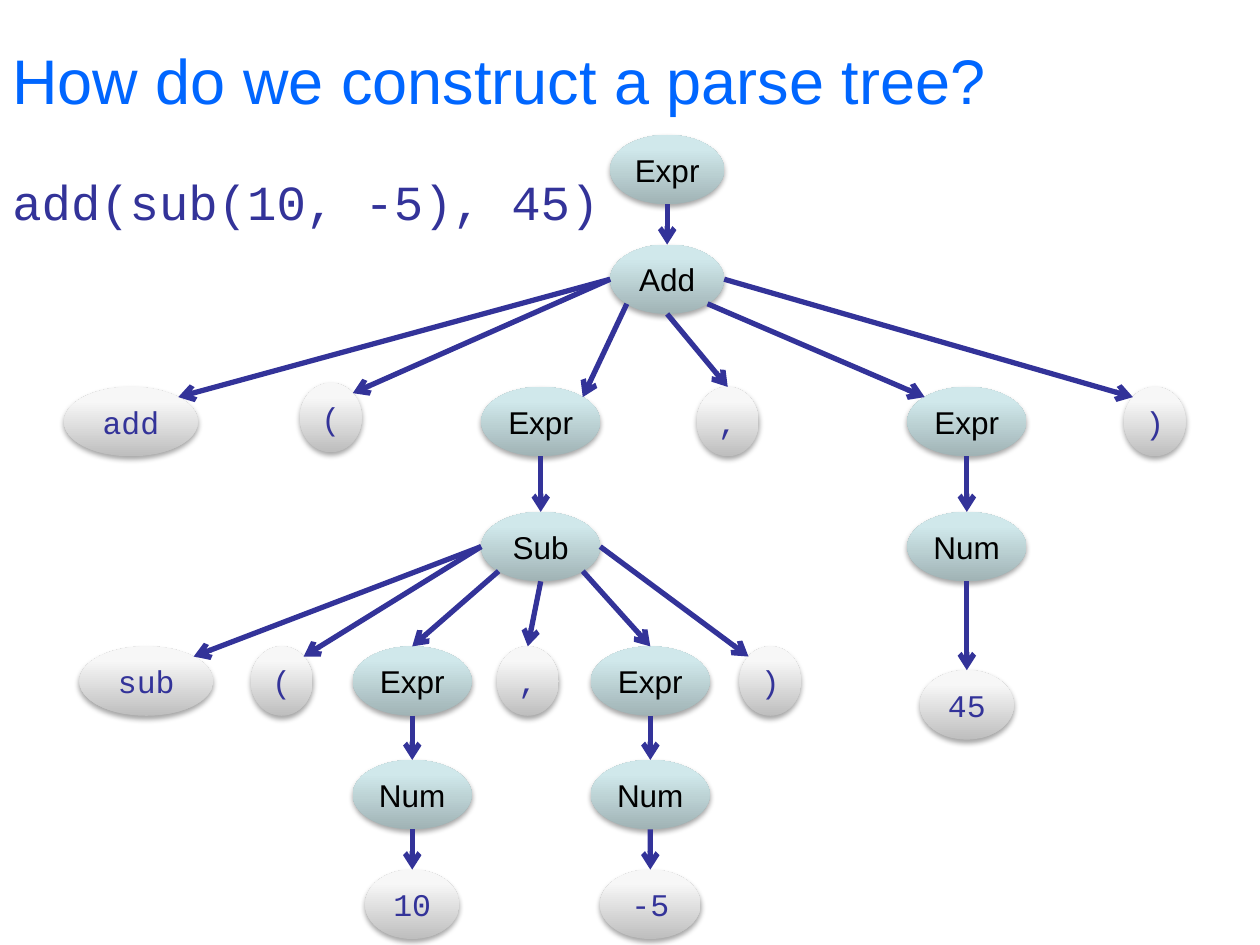
from copy import deepcopy

from lxml.etree import SubElement
from pptx import Presentation
from pptx.dml.color import RGBColor
from pptx.enum.shapes import MSO_CONNECTOR as Connector, MSO_SHAPE as Shape
from pptx.enum.text import MSO_ANCHOR as Anchor, PP_ALIGN as Align
from pptx.oxml.ns import qn
from pptx.util import Cm, Pt

TITLE = "How do we construct a parse tree?"
CODE = "add(sub(10, -5), 45)"
BLUE, NAVY, BLACK = "0066FF", "333399", "000000"
NODE_H = 1.4

# style: (gradient stops, font, text colour)
STYLES = {
    "rule": ([(0, "A0B3B5"), (0.8, "D0E8EB"), (1, "D1EAEC")], "Arial", BLACK),
    "token": ([(0, "BEBEBE"), (0.8, "F7F7F7"), (1, "F8F8F8")], "Courier New", NAVY),
}

# key: (text, style, centre x, top, width), lengths in cm
NODES = {
    "root": ("Expr", "rule", 13.45, 2.72, 2.3),
    "add": ("Add", "rule", 13.45, 4.93, 2.3),
    "add word": ("add", "token", 2.64, 7.8, 2.7),
    "add open": ("(", "token", 6.67, 7.72, 1.25),
    "add left": ("Expr", "rule", 10.9, 7.8, 2.4),
    "add comma": (",", "token", 14.67, 7.8, 1.25),
    "add right": ("Expr", "rule", 19.49, 7.8, 2.4),
    "add close": (")", "token", 23.28, 7.8, 1.25),
    "sub": ("Sub", "rule", 10.9, 10.32, 2.4),
    "num 45": ("Num", "rule", 19.49, 10.32, 2.4),
    "45": ("45", "token", 19.49, 13.51, 1.9),
    "sub word": ("sub", "token", 2.95, 13.03, 2.7),
    "sub open": ("(", "token", 5.68, 13.03, 1.25),
    "sub left": ("Expr", "rule", 8.31, 13.03, 2.4),
    "sub comma": (",", "token", 10.64, 13.03, 1.25),
    "sub right": ("Expr", "rule", 13.11, 13.03, 2.4),
    "sub close": (")", "token", 15.53, 13.03, 1.25),
    "num 10": ("Num", "rule", 8.31, 15.32, 2.4),
    "num -5": ("Num", "rule", 13.11, 15.32, 2.4),
    "10": ("10", "token", 8.31, 17.53, 1.9),
    "-5": ("-5", "token", 13.11, 17.53, 2.03),
}

# straight chains run from the bottom of each node to the top of the next
CHAINS = [
    ("root", "add"),
    ("add left", "sub"),
    ("add right", "num 45", "45"),
    ("sub left", "num 10", "10"),
    ("sub right", "num -5", "-5"),
]

# parent: (child, site on parent, site on child)
FANS = {
    "add": [("add word", "left", "top right"), ("add open", "left", "top right"),
            ("add left", "bottom left", "top right"), ("add comma", "bottom", "top"),
            ("add right", "bottom right", "top left"), ("add close", "right", "top left")],
    "sub": [("sub word", "left", "top right"), ("sub open", "left", "top right"),
            ("sub left", "bottom left", "top"), ("sub comma", "bottom", "top"),
            ("sub right", "bottom right", "top"), ("sub close", "right", "top left")],
}

# connection sites of an ellipse in index order, as offsets in radii
D = 0.5 ** 0.5
SITES = {"top": (0, -1), "top left": (-D, -D), "left": (-1, 0), "bottom left": (-D, D),
         "bottom": (0, 1), "bottom right": (D, D), "right": (1, 0), "top right": (D, -D)}


def rgb(hex_color):
    """Turn a hex string into a colour."""
    return RGBColor.from_string(hex_color)


def set_font(p, name, size, color):
    """Set the font of a whole paragraph."""
    p.font.name, p.font.size = name, Pt(size)
    p.font.color.rgb = rgb(color)


def add_text(slide, text, top, height, anchor, font, size, color):
    """Add a text box across the slide and return its paragraph."""
    tf = slide.shapes.add_textbox(0, Cm(top), Cm(25.4), Cm(height)).text_frame
    tf.word_wrap, tf.vertical_anchor = True, anchor
    p = tf.paragraphs[0]
    p.text = text
    set_font(p, font, size, color)
    return p


def fill_gradient(s, stops):
    """Fill a shape with a vertical gradient that starts at the bottom."""
    s.fill.gradient()
    s.fill.gradient_angle = 90
    stop_list = s._element.spPr.find(qn("a:gradFill")).find(qn("a:gsLst"))
    stop_list.insert(1, deepcopy(stop_list[0]))
    for stop, (position, color) in zip(s.fill.gradient_stops, stops):
        stop.position = position
        stop.color.rgb = rgb(color)


def add_shadow(s):
    """Give a shape a soft shadow below it."""
    s.shadow.inherit = False
    effects = s._element.spPr.find(qn("a:effectLst"))
    shadow = SubElement(effects, qn("a:outerShdw"), blurRad=str(Pt(3.1)),
                        dist=str(Pt(1.8)), dir="5400000", rotWithShape="0")
    color = SubElement(shadow, qn("a:srgbClr"), val=BLACK)
    SubElement(color, qn("a:alpha"), val="35000")


def add_node(slide, text, style, x, top, width):
    """Add one tree node centred on x."""
    stops, font, color = STYLES[style]
    s = slide.shapes.add_shape(Shape.OVAL, Cm(x - width / 2), Cm(top), Cm(width), Cm(NODE_H))
    fill_gradient(s, stops)
    s.line.fill.background()
    add_shadow(s)
    tf = s.text_frame
    tf.vertical_anchor = Anchor.MIDDLE
    tf.word_wrap = style == "token"
    if style == "rule":
        tf.margin_left = tf.margin_right = 0
    p = tf.paragraphs[0]
    p.text, p.alignment = text, Align.CENTER
    set_font(p, font, 18, color)
    return s


def site_point(s, site):
    """Return the position of a connection site."""
    dx, dy = SITES[site]
    return (int(s.left + s.width * (1 + dx) / 2), int(s.top + s.height * (1 + dy) / 2))


def add_arrow(slide, parent, child, start="bottom", end="top"):
    """Join two nodes with an arrow glued to their sites."""
    c = slide.shapes.add_connector(Connector.STRAIGHT, *site_point(parent, start),
                                   *site_point(child, end))
    c.line.color.rgb, c.line.width = rgb(NAVY), Pt(3)
    SubElement(c.line._get_or_add_ln(), qn("a:tailEnd"), type="arrow")
    SubElement(c._element.spPr, qn("a:effectLst"))
    glue = c._element.find(qn("p:nvCxnSpPr")).find(qn("p:cNvCxnSpPr"))
    for tag, s, site in (("a:stCxn", parent, start), ("a:endCxn", child, end)):
        SubElement(glue, qn(tag), id=str(s.shape_id), idx=str(list(SITES).index(site)))


prs = Presentation()
prs.slide_width, prs.slide_height = Cm(25.4), Cm(19.05)
slide = prs.slides.add_slide(prs.slide_layouts[6])

add_text(slide, TITLE, 0, 3.18, Anchor.MIDDLE, "Arial", 36, BLUE)
code = add_text(slide, CODE, 3.33, 1.6, Anchor.TOP, "Courier New", 28, NAVY)
code.space_before = Pt(5.6)

nodes = {key: add_node(slide, *node) for key, node in NODES.items()}
for chain in CHAINS:
    for parent, child in zip(chain, chain[1:]):
        add_arrow(slide, nodes[parent], nodes[child])
for parent, children in FANS.items():
    for child, start, end in children:
        add_arrow(slide, nodes[parent], nodes[child], start, end)

prs.save("out.pptx")
